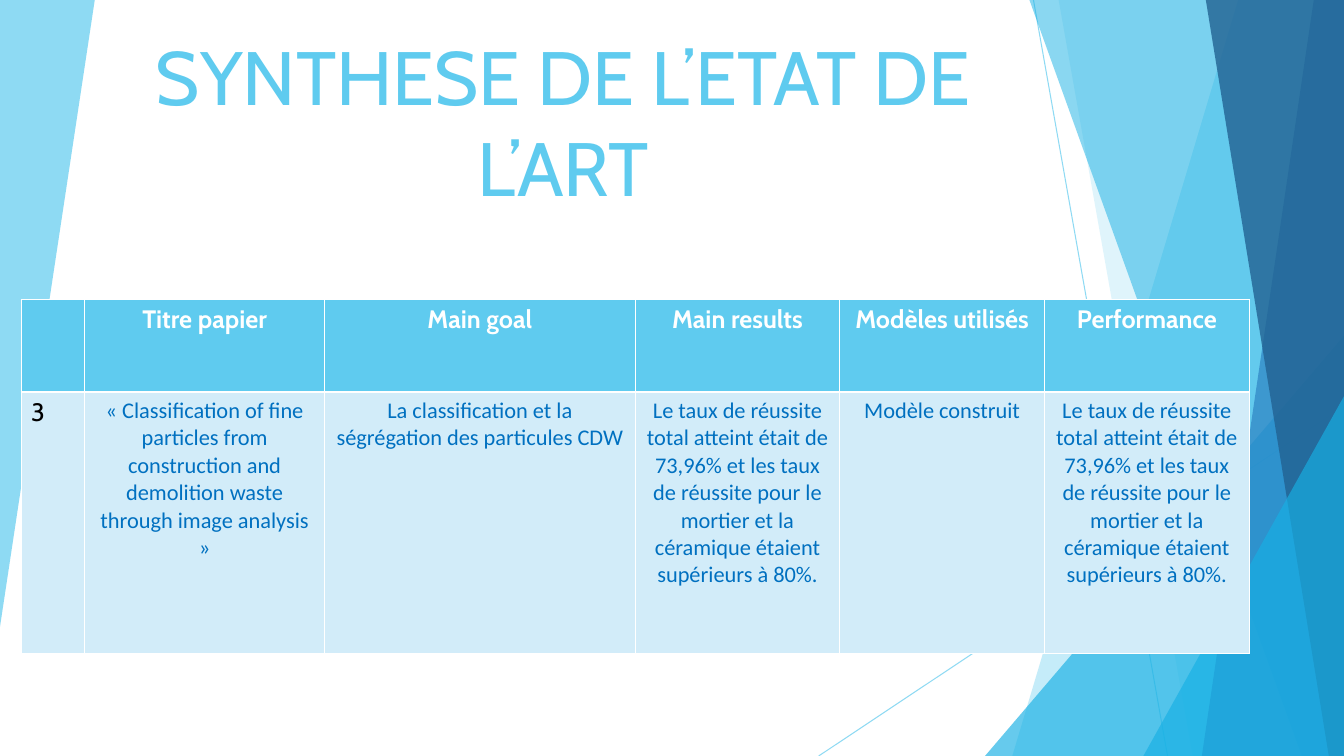
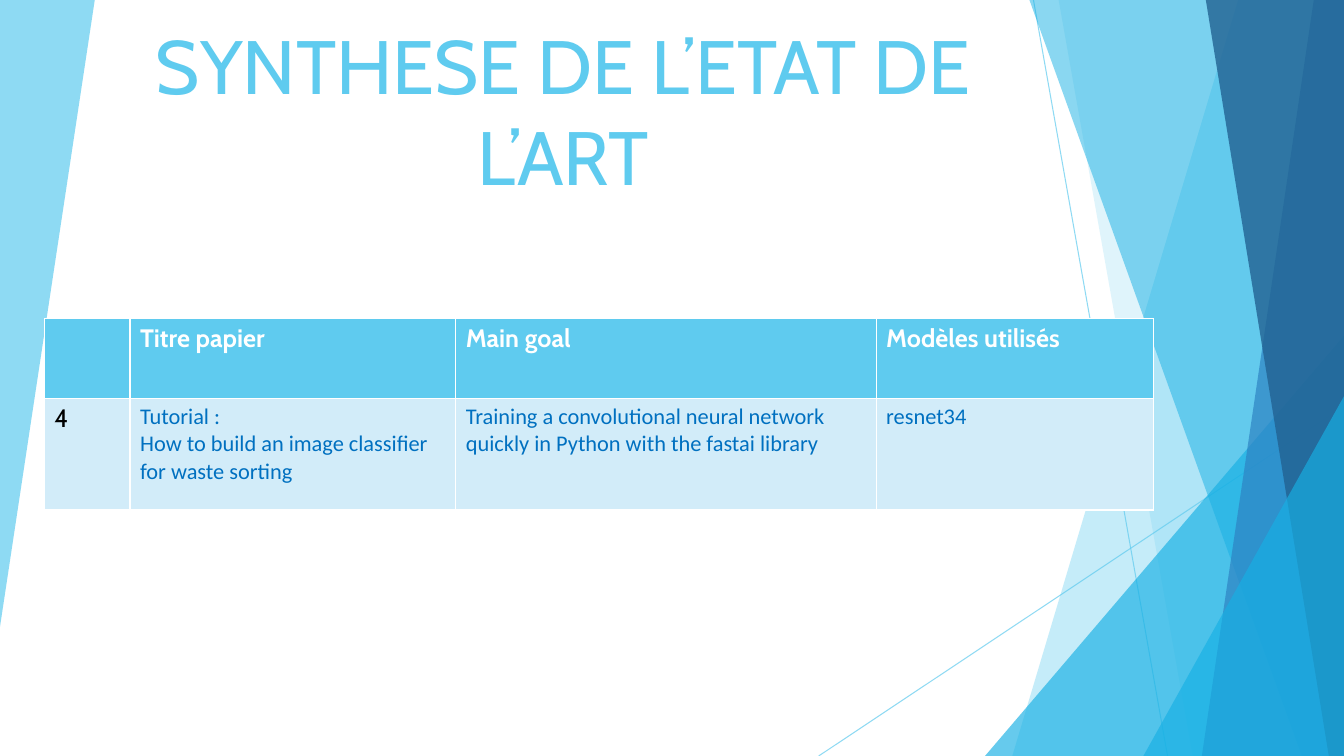
from lxml import etree
from pptx import Presentation
from pptx.dml.color import RGBColor
from pptx.enum.shapes import MSO_CONNECTOR, MSO_SHAPE
from pptx.enum.text import MSO_ANCHOR, MSO_AUTO_SIZE, PP_ALIGN
from pptx.oxml.ns import qn
from pptx.util import Inches, Pt

LEFT, CENTER = PP_ALIGN.LEFT, PP_ALIGN.CENTER
WIDTH, HEIGHT = 13.33, 7.5

SKY, CYAN, BLUE, NAVY = "5FCBEF", "17B0E4", "2E83C3", "226292"
PALE, TEXT_BLUE, WHITE, BLACK = "D2ECF9", "0070C0", "FFFFFF", "000000"

TITLE = {"name": "Cabin", "size": Pt(54), "bold": False, "color": SKY}
HEADER = {"name": "Cabin", "size": Pt(18), "bold": True, "color": WHITE}
NUMBER = {"name": "Cabin", "size": Pt(18), "bold": False, "color": BLACK}
BODY = {"name": "Calibri", "size": Pt(16), "bold": False, "color": TEXT_BLUE}

# Back to front: kind, points in inches, colour, opacity in percent
DECORATIONS = [
    ("band", [(0, 0), (0.94, 0), (0, 6.22)], SKY, 70),
    ("line", [(10.25, 0), (11.58, HEIGHT)], SKY, 70),
    ("line", [(WIDTH, 4.03), (8.12, HEIGHT)], SKY, 70),
    ("band", [(12.28, 0), (WIDTH, 0), (WIDTH, HEIGHT), (10.04, HEIGHT)], SKY, 36),
    ("band", [(10.5, 0), (WIDTH, 0), (WIDTH, HEIGHT), (11.83, HEIGHT)], SKY, 20),
    ("triangle", [(9.77, 3.33), (WIDTH, HEIGHT)], CYAN, 66),
    ("band", [(10.21, 0), (WIDTH, 0), (WIDTH, HEIGHT), (12.91, HEIGHT)], CYAN, 50),
    ("band", [(13.03, 0), (WIDTH, 0), (WIDTH, HEIGHT), (11.92, HEIGHT)], BLUE, 70),
    ("band", [(11.96, 0), (WIDTH, 0), (WIDTH, HEIGHT), (13.18, HEIGHT)], NAVY, 80),
    ("triangle", [(11.34, 3.93), (WIDTH, HEIGHT)], CYAN, 66),
]

SUCCESS_RATE = (
    "Le taux de réussite total atteint était de 73,96% et les taux de réussite "
    "pour le mortier et la céramique étaient supérieurs à 80%."
)
PAGES = [
    {
        "title_height": 1.89,
        "position": (0.21, 2.97),
        "columns": [0.63, 2.38, 3.08, 2.03, 2.03, 2.03],
        "rows": [0.92, 2.59],
        "align": CENTER,
        "cells": [
            ["", "Titre papier", "Main goal", "Main results", "Modèles utilisés", "Performance"],
            [
                "3",
                "« Classification of fine particles from construction and "
                "demolition waste through image analysis »",
                "La classification et la ségrégation des particules CDW",
                SUCCESS_RATE,
                "Modèle construit",
                SUCCESS_RATE,
            ],
        ],
    },
    {
        "title_height": 1.78,
        "position": (0.44, 3.16),
        "columns": [0.85, 3.23, 4.17, 2.75],
        "rows": [0.79, 1.11],
        "align": LEFT,
        "cells": [
            ["", "Titre papier", "Main goal", "Modèles utilisés"],
            [
                "4",
                "Tutorial :\nHow to build an image classifier for waste sorting",
                "Training a convolutional neural network quickly in Python with the fastai library",
                "resnet34",
            ],
        ],
    },
]


def paint(fill, color):
    fill.solid()
    fill.fore_color.rgb = RGBColor.from_string(color)


def format_text(frame, style, align):
    for para in frame.paragraphs:
        para.alignment = align
        for name, value in style.items():
            if name == "color":
                paint(para.font.fill, value)
                for span in para.runs:
                    paint(span.font.fill, value)
            else:
                setattr(para.font, name, value)
                for span in para.runs:
                    setattr(span.font, name, value)


deck = Presentation()
deck.slide_width, deck.slide_height = Inches(WIDTH), Inches(HEIGHT)
layout = deck.slide_layouts.get_by_name("Title Only")
for holder in list(layout.placeholders)[1:]:
    holder.element.getparent().remove(holder.element)
pages = [deck.slides.add_slide(layout) for _ in PAGES]

# Shapes are drawn on the first page, then moved to the shared layout
shapes = pages[0].shapes
for kind, points, color, opacity in DECORATIONS:
    corners = [(Inches(x), Inches(y)) for x, y in points]
    (left, top), (right, bottom) = corners[0], corners[-1]
    if kind == "line":
        shape = shapes.add_connector(MSO_CONNECTOR.STRAIGHT, left, top, right, bottom)
        shape.line.width = Pt(0.75)
        paint(shape.line.fill, color)
        etree.SubElement(shape.element.spPr, qn("a:effectLst"))
    else:
        if kind == "triangle":
            shape = shapes.add_shape(
                MSO_SHAPE.ISOSCELES_TRIANGLE, left, top, right - left, bottom - top
            )
            shape.adjustments[0] = 1
        else:
            builder = shapes.build_freeform(left, top)
            builder.add_line_segments(corners[1:], close=True)
            shape = builder.convert_to_shape()
        paint(shape.fill, color)
        shape.line.fill.background()
        shape.shadow.inherit = False
    for node in shape.element.spPr.iter(qn("a:srgbClr")):
        etree.SubElement(node, qn("a:alpha"), val=str(opacity * 1000))
    layout.shapes.element.append(shape.element)

for page, content in zip(pages, PAGES):
    title = page.shapes.title
    title.left, title.top = Inches(1.34), Inches(0.26)
    title.width, title.height = Inches(8.49), Inches(content["title_height"])
    frame = title.text_frame
    frame.text = "SYNTHESE DE L’ETAT DE L’ART"
    frame.word_wrap = True
    frame.auto_size = MSO_AUTO_SIZE.NONE
    frame.vertical_anchor = MSO_ANCHOR.BOTTOM
    format_text(frame, TITLE, CENTER)

    widths, heights = content["columns"], content["rows"]
    left, top = content["position"]
    table = page.shapes.add_table(
        len(heights), len(widths),
        Inches(left), Inches(top), Inches(sum(widths)), Inches(sum(heights)),
    ).table
    for column, width in zip(table.columns, widths):
        column.width = Inches(width)
    for row, height in zip(table.rows, heights):
        row.height = Inches(height)
    for row_index, texts in enumerate(content["cells"]):
        for column_index, text in enumerate(texts):
            cell = table.cell(row_index, column_index)
            cell.text = text
            paint(cell.fill, PALE if row_index else SKY)
            style = HEADER if row_index == 0 else BODY if column_index else NUMBER
            format_text(cell.text_frame, style, content["align"] if column_index else LEFT)

deck.save("out.pptx")
